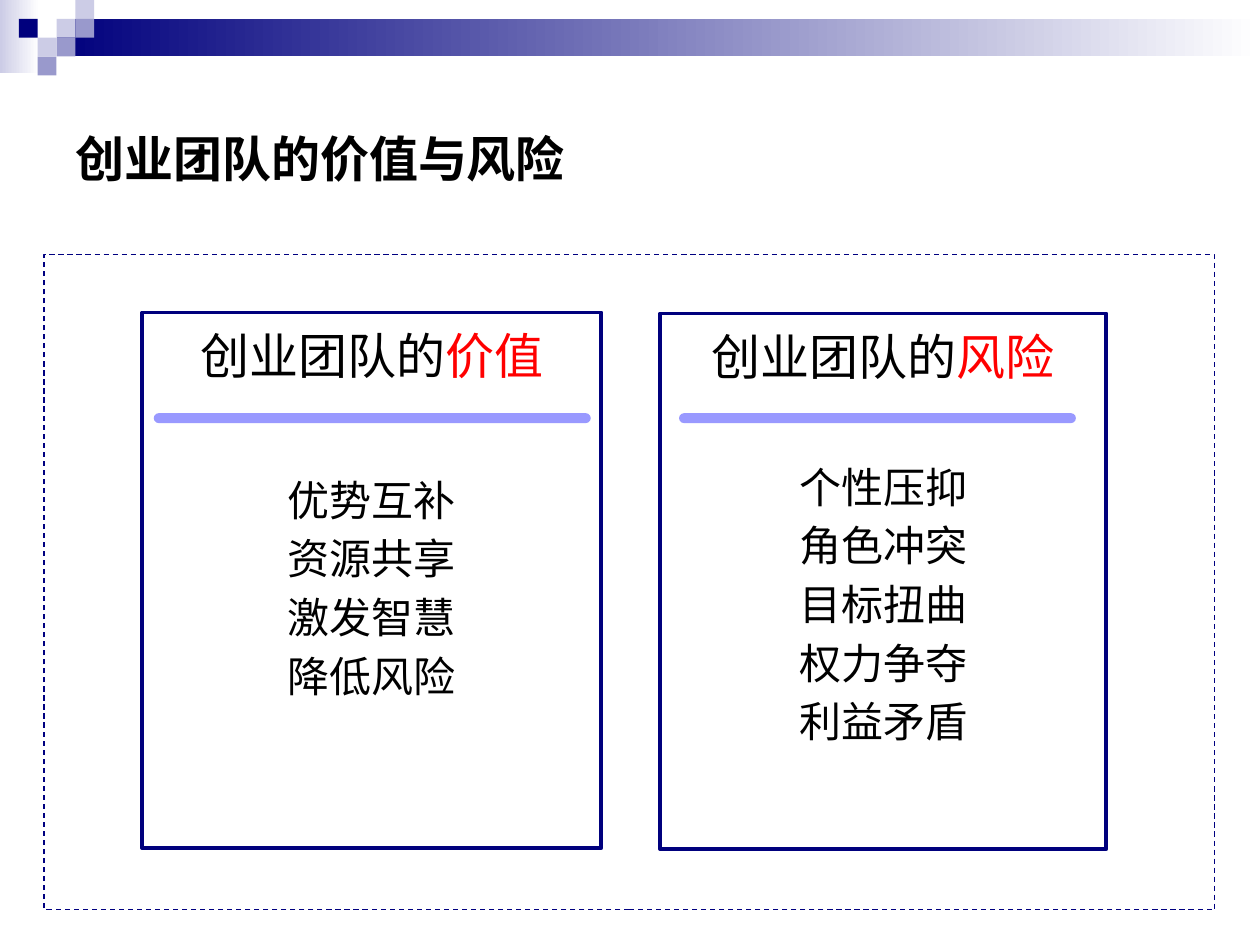
"""Build the slide comparing the value and the risks of a founding team."""
from dataclasses import dataclass

from lxml import etree
from pptx import Presentation
from pptx.dml.color import RGBColor
from pptx.enum.dml import MSO_LINE
from pptx.enum.shapes import MSO_SHAPE
from pptx.enum.text import MSO_ANCHOR, PP_ALIGN
from pptx.oxml.ns import qn
from pptx.util import Cm, Pt

RECT, ROUNDED = MSO_SHAPE.RECTANGLE, MSO_SHAPE.ROUNDED_RECTANGLE
LEFT, CENTER = PP_ALIGN.LEFT, PP_ALIGN.CENTER
TOP, MIDDLE = MSO_ANCHOR.TOP, MSO_ANCHOR.MIDDLE
DASH = MSO_LINE.DASH


@dataclass(frozen=True)
class Theme:
    navy: str = "00007D"
    frame: str = "000080"
    lilac: str = "9999CC"
    pale: str = "CCCCE6"
    rule: str = "9999FF"
    accent: str = "FF0000"
    text: str = "000000"
    white: str = "FFFFFF"
    latin: str = "Arial"
    chinese: str = "Noto Sans CJK SC"
    heading: float = 28
    item: float = 24
    heading_line: float = 37.5
    item_line: float = 28.7
    item_gap: float = 4.8


THEME = Theme()
TITLE = "创业团队的价值与风险"
TITLE_BOX = (1.27, 1.27, 22.86, 3.81)
FRAME_BOX = (0.89, 5.13, 23.6, 13.21)
PANELS = [
    {
        "lead": "创业团队的", "key": "价值",
        "items": ["优势互补", "资源共享", "激发智慧", "降低风险"],
        "box": (2.87, 6.3, 9.25, 10.8), "rule": (3.1, 8.33, 8.81, 0.2),
        "list_gap": 51.6,
    },
    {
        "lead": "创业团队的", "key": "风险",
        "items": ["个性压抑", "角色冲突", "目标扭曲", "权力争夺", "利益矛盾"],
        "box": (13.31, 6.32, 8.99, 10.8), "rule": (13.69, 8.33, 8, 0.2),
        "list_gap": 43.5,
    },
]
GRADIENTS = [
    ((0, 0, 0.79, 1.47), THEME.pale),
    ((1.14, 0.38, 24.26, 0.76), THEME.navy),
]
TILE = 0.38
TILES = [
    (3, 1, THEME.pale), (4, 0, THEME.pale), (4, 1, THEME.lilac),
    (2, 2, THEME.pale), (1, 1, THEME.navy), (3, 2, THEME.lilac),
    (2, 3, THEME.lilac),
]


def rgb(value):
    return RGBColor.from_string(value)


def add_box(slide, box, fill=None, line=None, width=0, kind=RECT):
    shape = slide.shapes.add_shape(kind, *map(Cm, box))
    shape.shadow.inherit = False
    if fill:
        shape.fill.solid()
        shape.fill.fore_color.rgb = rgb(fill)
    else:
        shape.fill.background()
    if line:
        shape.line.color.rgb = rgb(line)
        shape.line.width = Pt(width)
    else:
        shape.line.fill.background()
    return shape


def style(paragraph, size, latin, align, bold=False):
    paragraph.alignment = align
    font = paragraph.font
    font.size, font.name, font.bold = Pt(size), latin, bold
    font.color.rgb = rgb(THEME.text)
    defaults = paragraph._p.pPr.find(qn("a:defRPr"))
    etree.SubElement(defaults, qn("a:ea"), typeface=THEME.chinese)


def add_banner(slide):
    for box, color in GRADIENTS:
        band = add_box(slide, box)
        band.fill.gradient()
        band.fill.gradient_angle = 0
        for stop, shade in zip(band.fill.gradient_stops, (color, THEME.white)):
            stop.color.rgb = rgb(shade)
    for column, row, color in TILES:
        add_box(slide, (column * TILE, row * TILE, TILE, TILE), color)


def add_title(slide):
    title = slide.shapes.title
    title.left, title.top, title.width, title.height = map(Cm, TITLE_BOX)
    title.text_frame.text = TITLE
    title.text_frame.vertical_anchor = MIDDLE
    style(title.text_frame.paragraphs[0], THEME.heading, THEME.chinese, LEFT, True)


def add_panel(slide, panel):
    frame = add_box(slide, panel["box"], line=THEME.navy, width=2.25).text_frame
    frame.word_wrap = True
    frame.vertical_anchor = TOP
    heading = frame.paragraphs[0]
    heading.add_run().text = panel["lead"]
    key = heading.add_run()
    key.text = panel["key"]
    key.font.color.rgb = rgb(THEME.accent)
    heading.line_spacing = Pt(THEME.heading_line)
    style(heading, THEME.heading, THEME.latin, CENTER)
    for index, text in enumerate(panel["items"]):
        item = frame.add_paragraph()
        item.text = text
        item.line_spacing = Pt(THEME.item_line)
        item.space_before = Pt(THEME.item_gap if index else panel["list_gap"])
        style(item, THEME.item, THEME.latin, CENTER)


def main():
    deck = Presentation()
    deck.slide_width, deck.slide_height = Cm(25.4), Cm(19.05)
    slide = deck.slides.add_slide(deck.slide_layouts[5])
    add_banner(slide)
    add_title(slide)
    for panel in PANELS:
        add_panel(slide, panel)
    add_box(slide, FRAME_BOX, line=THEME.frame, width=0.75).line.dash_style = DASH
    for panel in PANELS:
        rule = add_box(slide, panel["rule"], THEME.rule, kind=ROUNDED)
        rule.adjustments[0] = 0.5
    deck.save("out.pptx")


if __name__ == "__main__":
    main()
